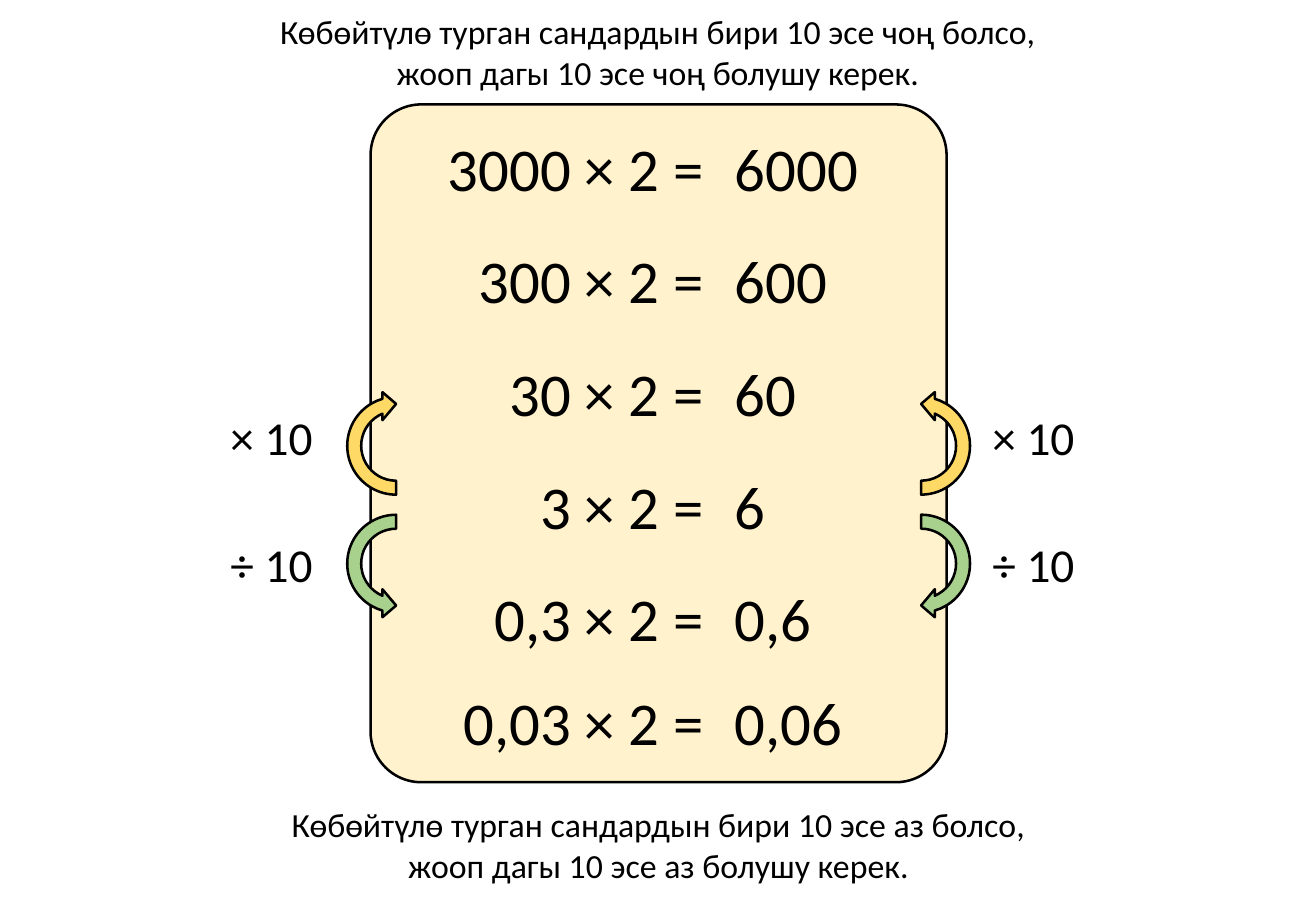
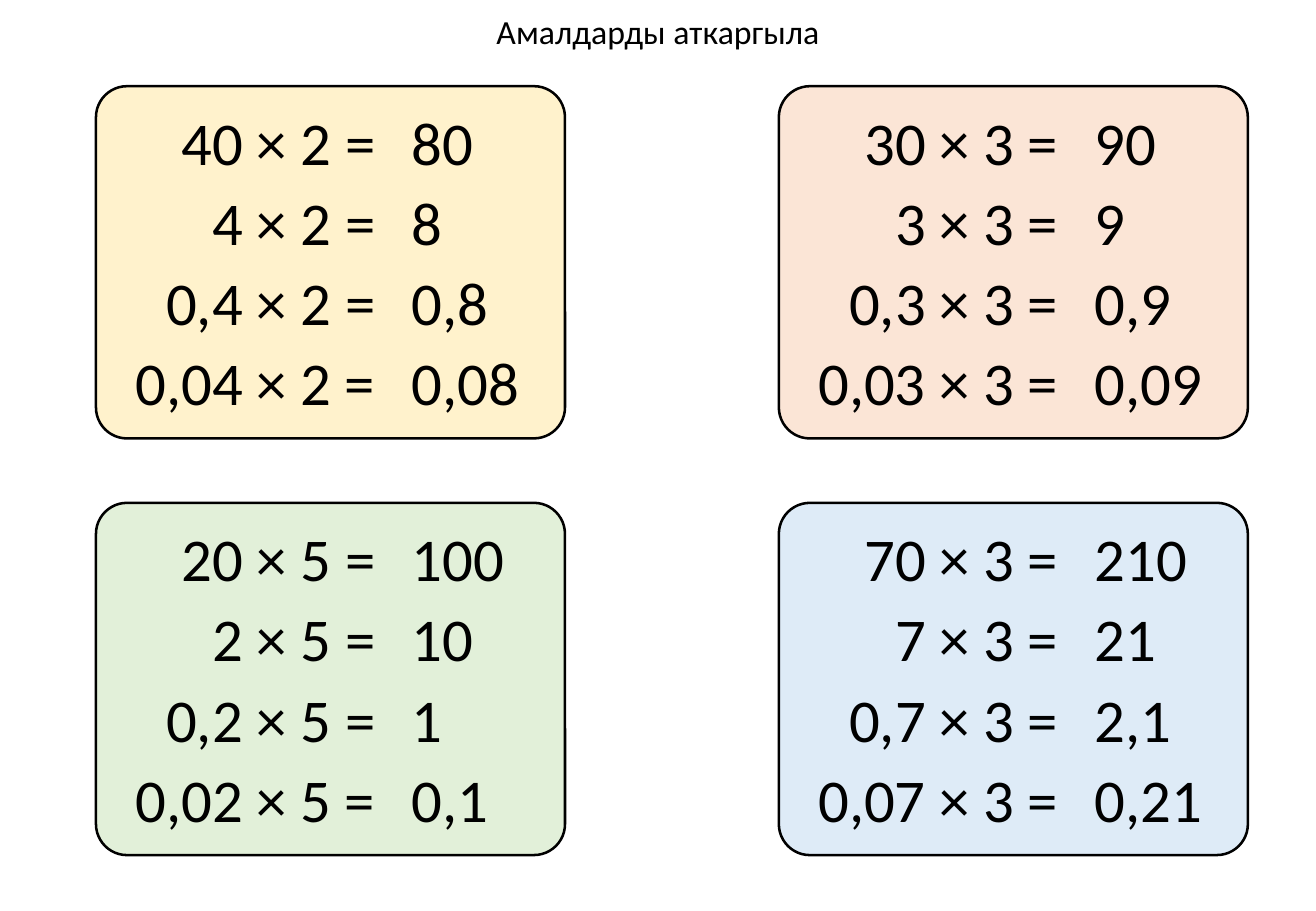
import pptx
import pptx.dml.color
import pptx.enum.shapes
import pptx.enum.text
import pptx.util

Inches = pptx.util.Inches
SHAPES = pptx.enum.shapes.MSO_SHAPE
ALIGN = pptx.enum.text.PP_ALIGN

PAGE_WIDTH, PAGE_HEIGHT = 10.83, 7.5
BLACK, CREAM, PEACH = "000000", "FFF2CC", "FBE5D6"
MINT, SKY = "E2F0D9", "DEEBF7"
GOLD, GREEN = "FFD966", "A9D18E"

FRAME_FORMAT = {
    "margin_left": Inches(0.1),
    "margin_right": Inches(0.1),
    "margin_top": Inches(0.05),
    "margin_bottom": Inches(0.05),
    "vertical_anchor": pptx.enum.text.MSO_ANCHOR.TOP,
    "auto_size": pptx.enum.text.MSO_AUTO_SIZE.SHAPE_TO_FIT_TEXT,
    "word_wrap": False,
}

LADDER_TOPS = [1.03, 1.95, 2.88, 3.81, 4.73, 5.59]
LADDER = [
    ("3000", "6000"), ("300", "600"), ("30", "60"),
    ("3", "6"), ("0,3", "0,6"), ("0,03", "0,06"),
]
CARDS = [
    (CREAM, "2", [("40", "80"), ("4", "8"), ("0,4", "0,8"), ("0,04", "0,08")]),
    (PEACH, "3", [("30", "90"), ("3", "9"), ("0,3", "0,9"), ("0,03", "0,09")]),
    (MINT, "5", [("20", "100"), ("2", "10"), ("0,2", "1"), ("0,02", "0,1")]),
    (SKY, "3", [("70", "210"), ("7", "21"), ("0,7", "2,1"), ("0,07", "0,21")]),
]


def colour(value):
    """Turn a hex string into a colour."""
    return pptx.dml.color.RGBColor.from_string(value)


def apply_format(target, values):
    """Set each named attribute of the target."""
    for name, value in values.items():
        setattr(target, name, value)


def write_lines(box, lines, size, align, **frame_changes):
    """Write one paragraph per line into a box."""
    frame = box.text_frame
    apply_format(frame, {**FRAME_FORMAT, **frame_changes})
    for index, line in enumerate(lines):
        para = frame.add_paragraph() if index else frame.paragraphs[0]
        para.alignment = align
        span = para.add_run()
        span.text = line
        apply_format(span.font, {"name": "Calibri", "size": pptx.util.Pt(size)})
        span.font.color.rgb = colour(BLACK)


def add_text(page, at, lines, size, align, **frame_changes):
    """Add a text box at left, top, width, height."""
    box = page.shapes.add_textbox(*map(Inches, at))
    write_lines(box, lines, size, align, **frame_changes)


def add_outlined(page, kind, at, fill):
    """Add a filled shape with a black outline."""
    shape = page.shapes.add_shape(kind, *map(Inches, at))
    shape.shadow.inherit = False
    shape.fill.solid()
    shape.fill.fore_color.rgb = colour(fill)
    shape.line.color.rgb = colour(BLACK)
    shape.line.width = pptx.util.Pt(1.5)
    return shape


def add_card(page, at, fill):
    """Add a rounded card."""
    card = add_outlined(page, SHAPES.ROUNDED_RECTANGLE, at, fill)
    card.adjustments[0] = 0.088


def add_arrow(page, left, top, fill, rotation, flipped):
    """Add a half-circle arrow, mirrored when flipped."""
    arrow = add_outlined(page, SHAPES.CIRCULAR_ARROW, (left, top, 0.92, 0.92), fill)
    arrow.rotation = rotation
    if flipped:
        arrow.element.spPr.get_or_add_xfrm().set("flipV", "1")


def number_width(number):
    """Give the width of a box that holds a number."""
    commas = number.count(",")
    return 0.2 + 0.26 * (len(number) - commas) + 0.12 * commas


def add_sums(page, equals_right, answer_left, tops, multiplier, sums):
    """Add a column of sums beside a column of answers."""
    for top, (factor, answer) in zip(tops, sums):
        width = number_width(factor) + 1.21
        add_text(page, (equals_right - width, top, width, 0.71),
                 [f"{factor} × {multiplier} ="], 36, ALIGN.RIGHT,
                 margin_right=Inches(0.21))
        add_text(page, (answer_left, top, number_width(answer), 0.71),
                 [answer], 36, ALIGN.LEFT)


def add_page(deck, title_width, title_lines):
    """Add a page with a centred title at its top."""
    page = deck.slides.add_slide(deck.slide_layouts.get_by_name("Title Only"))
    title = page.shapes.title
    apply_format(title, {
        "left": Inches((PAGE_WIDTH - title_width) / 2),
        "top": Inches(0.04),
        "width": Inches(title_width),
        "height": Inches(0.1 + 0.34 * len(title_lines)),
    })
    write_lines(title, title_lines, 20, ALIGN.CENTER)
    return page


def build_pattern(deck):
    """Build the page on multiplying and dividing by ten."""
    page = add_page(deck, 6.48, [
        "Көбөйтүлө турган сандардын бири 10 эсе чоң болсо,",
        "жооп дагы 10 эсе чоң болушу керек.",
    ])
    add_card(page, (3.05, 0.86, 4.74, 5.58), CREAM)
    add_sums(page, 6, 5.95, LADDER_TOPS, "2", LADDER)
    steps = [
        ("× 10", 3.31, 3.21, GOLD, 270, False),
        ("÷ 10", 4.36, 4.18, GREEN, 90, True),
    ]
    for label, label_top, arrow_top, fill, rotation, left_flipped in steps:
        sides = [(1.78, 2.8, left_flipped), (8.05, 7.12, not left_flipped)]
        for label_left, arrow_left, flipped in sides:
            add_arrow(page, arrow_left, arrow_top, fill, rotation, flipped)
            add_text(page, (label_left, label_top, 0.89, 0.57),
                     [label], 28, ALIGN.RIGHT)
    add_text(page, (2.27, 6.57, 6.3, 0.77), [
        "Көбөйтүлө турган сандардын бири 10 эсе аз болсо,",
        "жооп дагы 10 эсе аз болушу керек.",
    ], 20, ALIGN.CENTER)


def build_exercises(deck):
    """Build the page with a two by two grid of exercise cards."""
    page = add_page(deck, 2.88, ["Амалдарды аткаргыла"])
    for index, (fill, multiplier, sums) in enumerate(CARDS):
        row, column = divmod(index, 2)
        left, top = 0.79 + 5.62 * column, 0.71 + 3.43 * row
        add_card(page, (left, top, 3.86, 2.9), fill)
        tops = [top + 0.1 + 0.66 * line for line in range(len(sums))]
        add_sums(page, left + 2.51, left + 2.5, tops, multiplier, sums)


def main():
    """Build and save the deck."""
    deck = pptx.Presentation()
    deck.slide_width = Inches(PAGE_WIDTH)
    deck.slide_height = Inches(PAGE_HEIGHT)
    build_pattern(deck)
    build_exercises(deck)
    deck.save("out.pptx")


if __name__ == "__main__":
    main()
